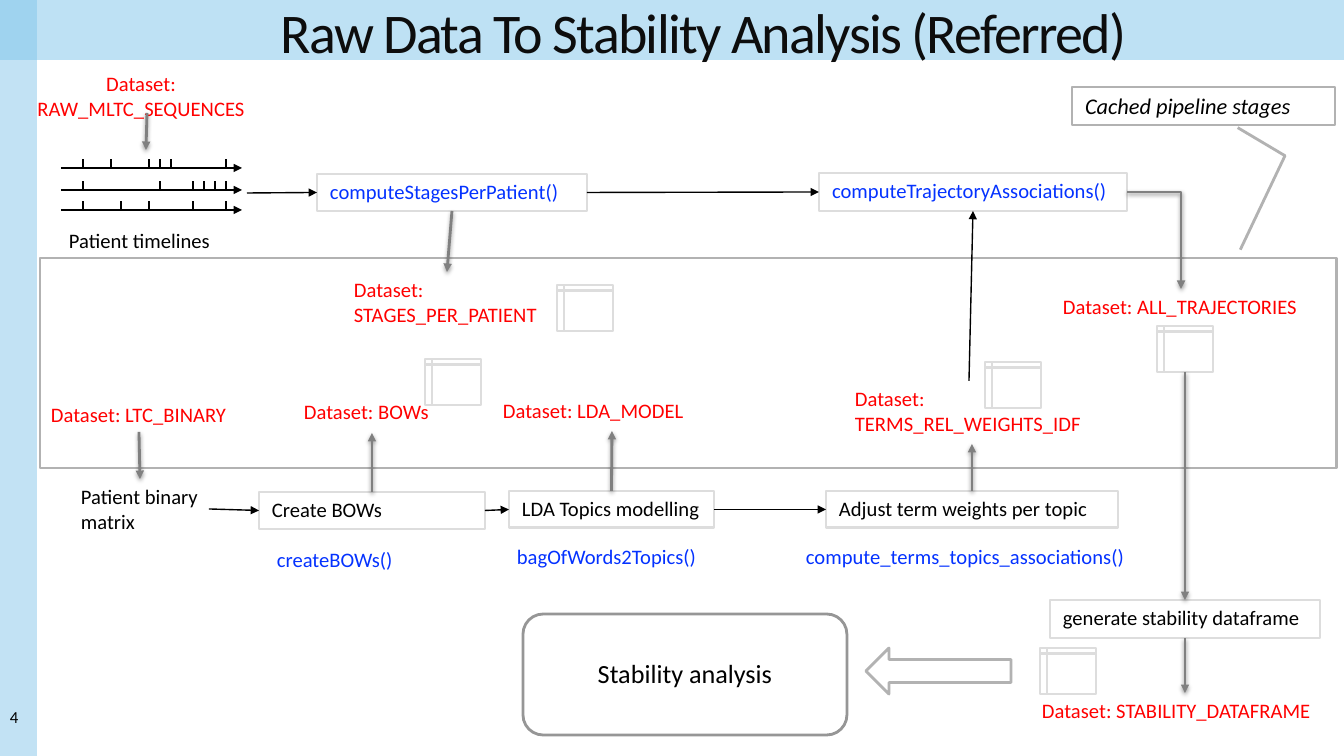
from lxml.etree import SubElement
from pptx import Presentation
from pptx.dml.color import RGBColor
from pptx.enum.shapes import MSO_CONNECTOR as Connector, MSO_SHAPE as Shape
from pptx.enum.text import MSO_ANCHOR as Anchor, MSO_AUTO_SIZE as AutoSize, PP_ALIGN as Align
from pptx.oxml.ns import qn
from pptx.util import Emu, Pt

BLACK, RED, BLUE = "000000", "FF0000", "0432FF"
PALE, SILVER, GRAY, DARK_GRAY = "DDDDDD", "B2B2B2", "808080", "969696"
TOP, LEFT, BOTTOM, RIGHT = range(4)


def px(length):
    return Emu(round(length * 914400 / 100.8))


def color(value):
    return RGBColor.from_string(value)


class Diagram:
    """Draws styled diagram elements on one slide, with lengths in px."""

    font_name = "Calibri"
    text_size = 14.7

    def __init__(self, slide):
        self.slide = slide
        self.shapes = slide.shapes

    def set_text(self, shape, text, ink=BLACK, size=text_size, align=Align.LEFT, spacing=None, italic=False):
        shape.text_frame.text = text
        for paragraph in shape.text_frame.paragraphs:
            paragraph.alignment = align
            paragraph.line_spacing = spacing
            font = paragraph.font
            font.name, font.size, font.italic = self.font_name, Pt(size), italic
            font.color.rgb = color(ink)

    def title(self, text, left, top, width, height):
        title = self.shapes.title
        title.left, title.top, title.width, title.height = map(px, (left, top, width, height))
        title.text_frame.auto_size = AutoSize.NONE
        title.text_frame.vertical_anchor = Anchor.MIDDLE
        self.set_text(title, text, "0D0D0D", 40, Align.CENTER, 0.96)
        title.text_frame.paragraphs[0].font._element.set("spc", "-120")
        title.element.getparent().append(title.element)

    def band(self, left, top, width, height, fill, opacity):
        band = self.shape(Shape.RECTANGLE, left, top, width, height, None, fill)
        tint = band.element.spPr.find(qn("a:solidFill"))[0]
        SubElement(tint, qn("a:alpha"), val=str(opacity * 1000))

    def shape(self, kind, left, top, width, height, line=PALE, fill="FFFFFF"):
        shape = self.shapes.add_shape(kind, *map(px, (left, top, width, height)))
        shape.shadow.inherit = False
        shape.fill.solid()
        shape.fill.fore_color.rgb = color(fill)
        if line:
            shape.line.color.rgb = color(line)
            shape.line.width = Pt(2)
        else:
            shape.line.fill.background()
        return shape

    def box(self, text, left, top, width, height, ink=BLACK, line=PALE, kind=Shape.RECTANGLE,
            size=text_size, align=Align.LEFT, anchor=Anchor.TOP, italic=False):
        box = self.shape(kind, left, top, width, height, line)
        frame = box.text_frame
        frame.word_wrap = True
        frame.vertical_anchor = anchor
        frame.margin_left = frame.margin_right = px(13)
        frame.margin_top = frame.margin_bottom = px(7)
        self.set_text(box, text, ink, size, align, 0.96, italic)
        return box

    def label(self, text, left, top, width, height=35, ink=RED, align=Align.LEFT, wrap=False, size=text_size):
        label = self.shapes.add_textbox(*map(px, (left, top, width, height)))
        label.text_frame.word_wrap = wrap
        label.text_frame.auto_size = AutoSize.SHAPE_TO_FIT_TEXT
        self.set_text(label, text, ink, size, align)

    def icon(self, left, top):
        return self.shape(Shape.FLOWCHART_INTERNAL_STORAGE, left, top, 56, 46)

    def line(self, start, end, ink=BLACK, width=1, arrow=True, shadow=False, kind=Connector.STRAIGHT,
             begin=None, finish=None):
        connector = self.shapes.add_connector(kind, *map(px, (*start, *end)))
        if begin:
            connector.begin_connect(*begin)
        if finish:
            connector.end_connect(*finish)
        connector.line.color.rgb = color(ink)
        connector.line.width = Pt(width)
        if arrow:
            SubElement(connector.element.spPr.find(qn("a:ln")), qn("a:tailEnd"), type="triangle")
        effects = SubElement(connector.element.spPr, qn("a:effectLst"))
        if shadow:
            outer = SubElement(effects, qn("a:outerShdw"), blurRad="40000", dist="20000",
                               dir="5400000", rotWithShape="0")
            tint = SubElement(outer, qn("a:srgbClr"), val=BLACK)
            SubElement(tint, qn("a:alpha"), val="38000")
        return connector

    def flow(self, start, end, **options):
        return self.line(start, end, GRAY, 2, shadow=True, **options)

    def timeline(self, baseline, ticks):
        for tick in ticks:
            self.line((83 + tick, baseline), (83 + tick, baseline - 9), arrow=False)
        self.line((61, baseline), (242, baseline))


def main():
    presentation = Presentation()
    presentation.slide_width, presentation.slide_height = px(1344), px(756)
    diagram = Diagram(presentation.slides.add_slide(presentation.slide_layouts[5]))

    diagram.band(0, 0, 37, 756, "84C5EA", 49)
    diagram.band(0, 0, 1344, 60, "7EC5EB", 50)
    diagram.label("4", 0, 702, 81, 30, BLACK, wrap=True, size=12)
    diagram.shape(Shape.RECTANGLE, 40, 258, 1297, 210, SILVER)
    diagram.title("Raw Data To Stability Analysis (Referred)", 72, 11, 1263, 46)

    diagram.timeline(168, (0, 28, 66, 77, 88, 143))
    diagram.timeline(190, (0, 77, 110, 121, 132, 143))
    diagram.timeline(210, (0, 38, 66, 110, 143))

    stages = diagram.box("computeStagesPerPatient()", 317, 174, 270, 37, BLUE)
    trajectories = diagram.box("computeTrajectoryAssociations()", 819, 173, 308, 38, BLUE)
    bows = diagram.box("Create BOWs", 259, 492, 226, 37)
    topics = diagram.box("LDA Topics modelling", 509, 491, 205, 37)
    weights = diagram.box("Adjust term weights per topic", 826, 491, 292, 37)
    dataframe = diagram.box("generate stability dataframe", 1050, 600, 270, 38)
    callout = diagram.box("Cached pipeline stages", 1072, 87, 263, 38, line=SILVER,
                          kind=Shape.LINE_CALLOUT_2, size=16, italic=True)
    for index, value in enumerate((1.07, 0.63, 1.81, 0.81, 4.28, 0.64)):
        callout.adjustments[index] = value
    diagram.box("Stability analysis", 523, 614, 324, 121, line=DARK_GRAY, kind=Shape.ROUNDED_RECTANGLE,
                size=18.7, align=Align.CENTER, anchor=Anchor.MIDDLE)
    diagram.shape(Shape.LEFT_ARROW, 866, 648, 145, 46, SILVER)

    trajectory_table = diagram.icon(1157, 326)
    for left, top in ((557, 285), (985, 362), (425, 359), (1040, 648)):
        diagram.icon(left, top)

    diagram.label("Dataset:\nRAW_MLTC_SEQUENCES", 27, 66, 228, 59, align=Align.CENTER)
    diagram.label("Dataset:\nSTAGES_PER_PATIENT", 344, 272, 204, 59)
    diagram.label("Dataset:\nTERMS_REL_WEIGHTS_IDF", 845, 381, 247, 59)
    diagram.label("Dataset: LTC_BINARY", 41, 397, 196)
    diagram.label("Dataset: BOWs", 294, 394, 145)
    diagram.label("Dataset: LDA_MODEL", 493, 393, 222)
    diagram.label("Dataset: ALL_TRAJECTORIES", 1053, 289, 255)
    diagram.label("Dataset: STABILITY_DATAFRAME", 1032, 693, 306, wrap=True)
    diagram.label("Patient timelines", 59, 223, 226, ink=BLACK, wrap=True)
    diagram.label("Patient binary\nmatrix", 71, 479, 138, 59, BLACK)
    diagram.label("createBOWs()", 267, 542, 209, ink=BLUE, wrap=True)
    diagram.label("bagOfWords2Topics()", 507, 539, 209, ink=BLUE, wrap=True)
    diagram.label("compute_terms_topics_associations()", 796, 539, 352, ink=BLUE, wrap=True)

    diagram.line((209, 509), (259, 510), finish=(bows, LEFT))
    diagram.line((485, 510), (509, 509), begin=(bows, RIGHT), finish=(topics, LEFT))
    diagram.line((714, 509), (826, 509), begin=(topics, RIGHT), finish=(weights, LEFT))
    diagram.line((247, 193), (317, 193), finish=(stages, LEFT))
    diagram.line((587, 193), (819, 193), begin=(stages, RIGHT), finish=(trajectories, LEFT))
    diagram.line((969, 381), (973, 211), finish=(trajectories, BOTTOM))

    elbow = diagram.flow((1127, 192), (1181, 289), kind=Connector.ELBOW)
    elbow.element.spPr.find(qn("a:prstGeom")).set("prst", "bentConnector2")
    diagram.flow((147, 113), (146, 150))
    diagram.flow((452, 211), (447, 272), begin=(stages, BOTTOM))
    diagram.flow((139, 432), (140, 479))
    diagram.flow((372, 492), (372, 433), begin=(bows, TOP))
    diagram.flow((612, 491), (612, 431), begin=(topics, TOP))
    diagram.flow((972, 491), (972, 444), begin=(weights, TOP))
    diagram.flow((1185, 372), (1185, 600), begin=(trajectory_table, BOTTOM), finish=(dataframe, TOP))
    diagram.flow((1185, 638), (1185, 693), begin=(dataframe, BOTTOM))

    presentation.save("out.pptx")


if __name__ == "__main__":
    main()
